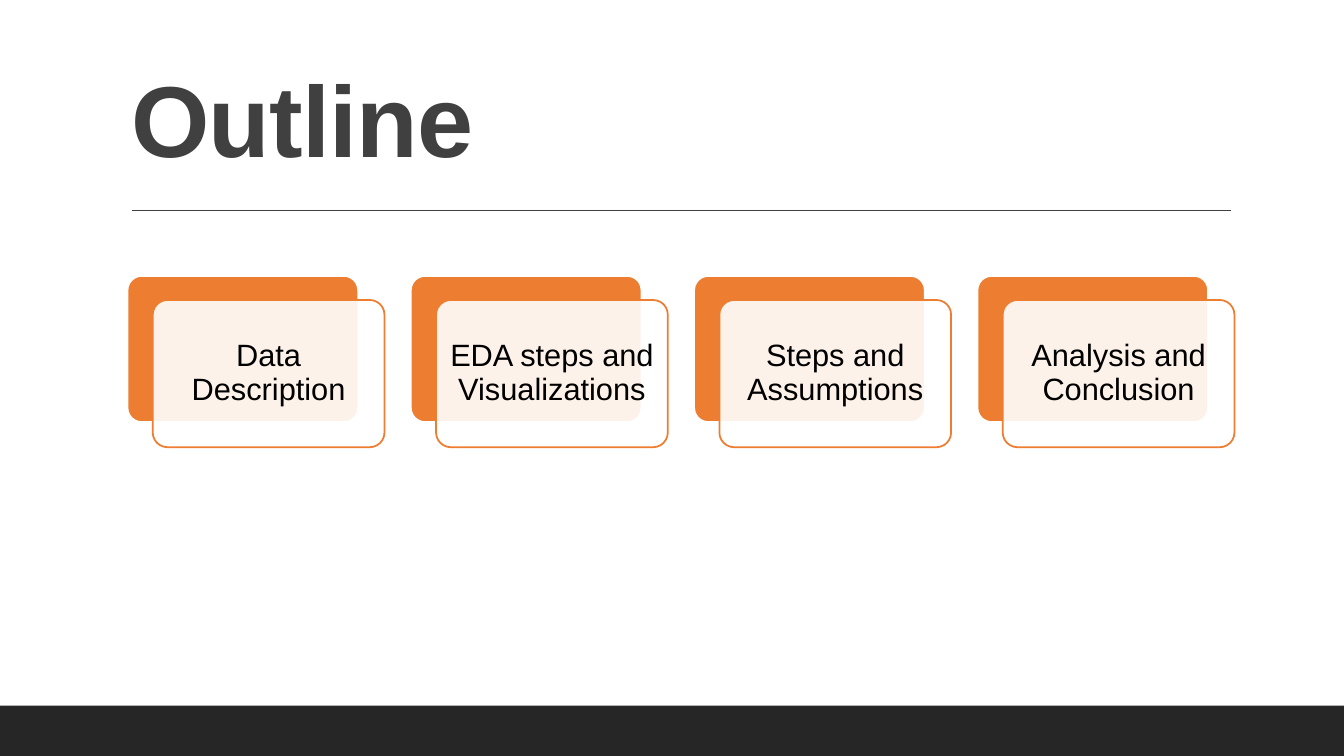
"""Build the outline slide with a title, a rule and four layered cards."""
from dataclasses import dataclass

from lxml.etree import SubElement
from pptx import Presentation
from pptx.dml.color import RGBColor
from pptx.enum.shapes import MSO_CONNECTOR, MSO_SHAPE
from pptx.enum.text import MSO_ANCHOR, MSO_AUTO_SIZE, PP_ALIGN
from pptx.oxml.ns import qn
from pptx.util import Cm, Pt


@dataclass(frozen=True)
class Theme:
    font: str = "Arial"
    dark: str = "262626"
    gray: str = "404040"
    accent: str = "ED7D31"
    white: str = "FFFFFF"
    black: str = "000000"
    head: int = 72
    label: int = 22


class Page:
    def __init__(self, slide, theme):
        self.slide = slide
        self.theme = theme

    def style(self, frame, size, color, align, bold=False):
        frame.word_wrap = True
        for para in frame.paragraphs:
            para.alignment = align
            para.line_spacing = 0.9
            for run in para.runs:
                font = run.font
                font.name = self.theme.font
                font.size = Pt(size)
                font.bold = bold
                font.color.rgb = RGBColor.from_string(color)

    def title(self, text, left, top, width, height):
        shape = self.slide.shapes.title
        shape.left, shape.top = Cm(left), Cm(top)
        shape.width, shape.height = Cm(width), Cm(height)
        frame = shape.text_frame
        frame.text = text
        frame.auto_size = MSO_AUTO_SIZE.NONE
        frame.vertical_anchor = MSO_ANCHOR.BOTTOM
        frame.margin_bottom = Cm(1.93)
        self.style(frame, self.theme.head, self.theme.gray, PP_ALIGN.LEFT, True)
        for run in frame.paragraphs[0].runs:
            run.font._element.set("spc", "-50")

    def rule(self, left, right, top):
        line = self.slide.shapes.add_connector(
            MSO_CONNECTOR.STRAIGHT, Cm(left), Cm(top), Cm(right), Cm(top))
        line.line.color.rgb = RGBColor.from_string(self.theme.gray)
        line.line.width = Pt(1)
        SubElement(line._element.spPr, qn("a:effectLst"))

    def box(self, kind, left, top, width, height, fill, edge=None, weight=1):
        shape = self.slide.shapes.add_shape(
            kind, Cm(left), Cm(top), Cm(width), Cm(height))
        shape.shadow.inherit = False
        shape.fill.solid()
        shape.fill.fore_color.rgb = RGBColor.from_string(fill)
        if edge:
            shape.line.color.rgb = RGBColor.from_string(edge)
            shape.line.width = Pt(weight)
        else:
            shape.line.fill.background()
        return shape

    def card(self, text, left, top, width, height):
        theme = self.theme
        kind = MSO_SHAPE.ROUNDED_RECTANGLE
        back = self.box(kind, left, top, width, height,
                        theme.accent, theme.white, 2)
        front = self.box(kind, left + 0.65, top + 0.62, width, height,
                         theme.white, theme.accent, 1.25)
        for shape in (back, front):
            shape.adjustments[0] = 0.1
        color = front.fill._xPr.find(qn("a:solidFill"))[0]
        SubElement(color, qn("a:alpha"), val="90000")
        frame = front.text_frame
        frame.text = text
        frame.vertical_anchor = MSO_ANCHOR.MIDDLE
        frame.margin_left = frame.margin_right = Cm(0.2)
        self.style(frame, theme.label, theme.black, PP_ALIGN.CENTER)


def main():
    deck = Presentation()
    deck.slide_width, deck.slide_height = Cm(33.87), Cm(19.05)
    theme = Theme()
    page = Page(deck.slides.add_slide(deck.slide_layouts[5]), theme)
    page.title("Outline", 3.05, 0.79, 27.94, 5.66)
    page.rule(3.33, 31.01, 5.3)
    page.box(MSO_SHAPE.RECTANGLE, 0, 17.78, 33.87, 1.27, theme.dark)
    topics = ("Data Description", "EDA steps and Visualizations",
              "Steps and Assumptions", "Analysis and Conclusion")
    for index, topic in enumerate(topics):
        page.card(topic, 3.2 + 7.14 * index, 6.94, 5.84, 3.71)
    deck.save("out.pptx")


main()
